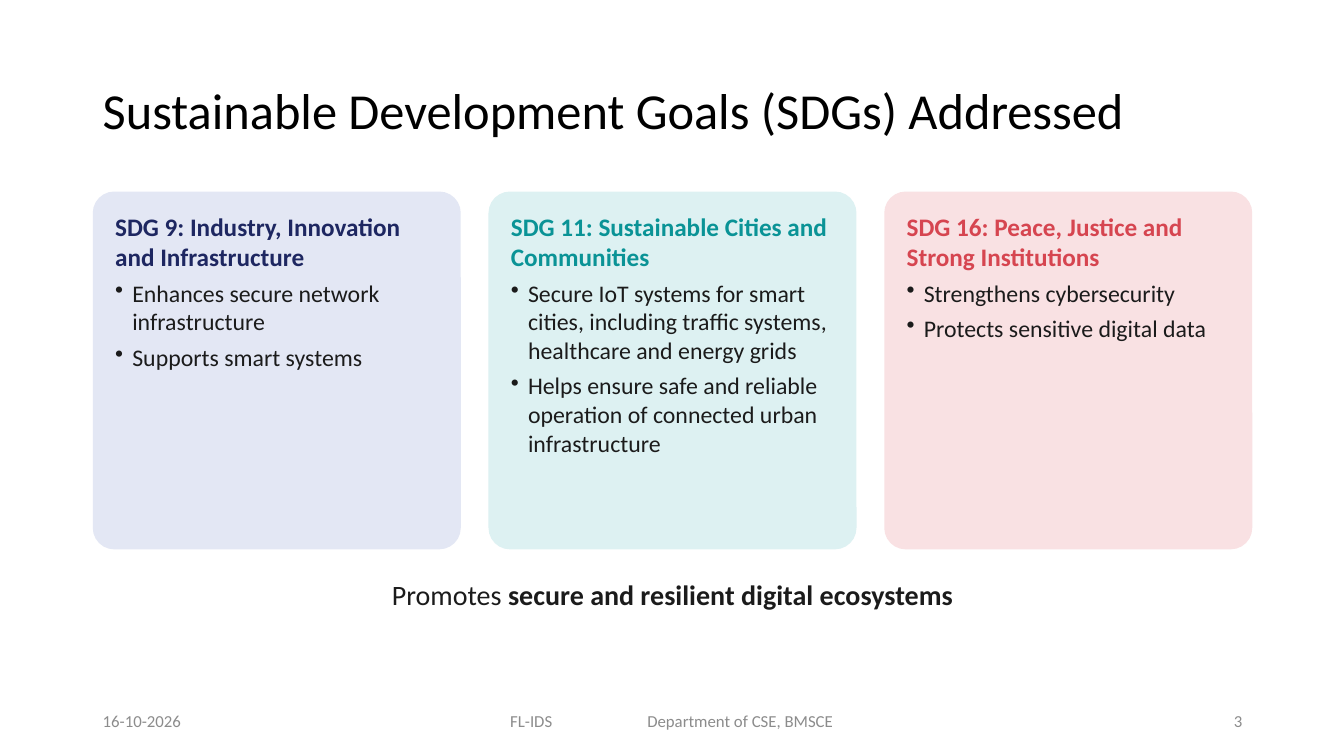
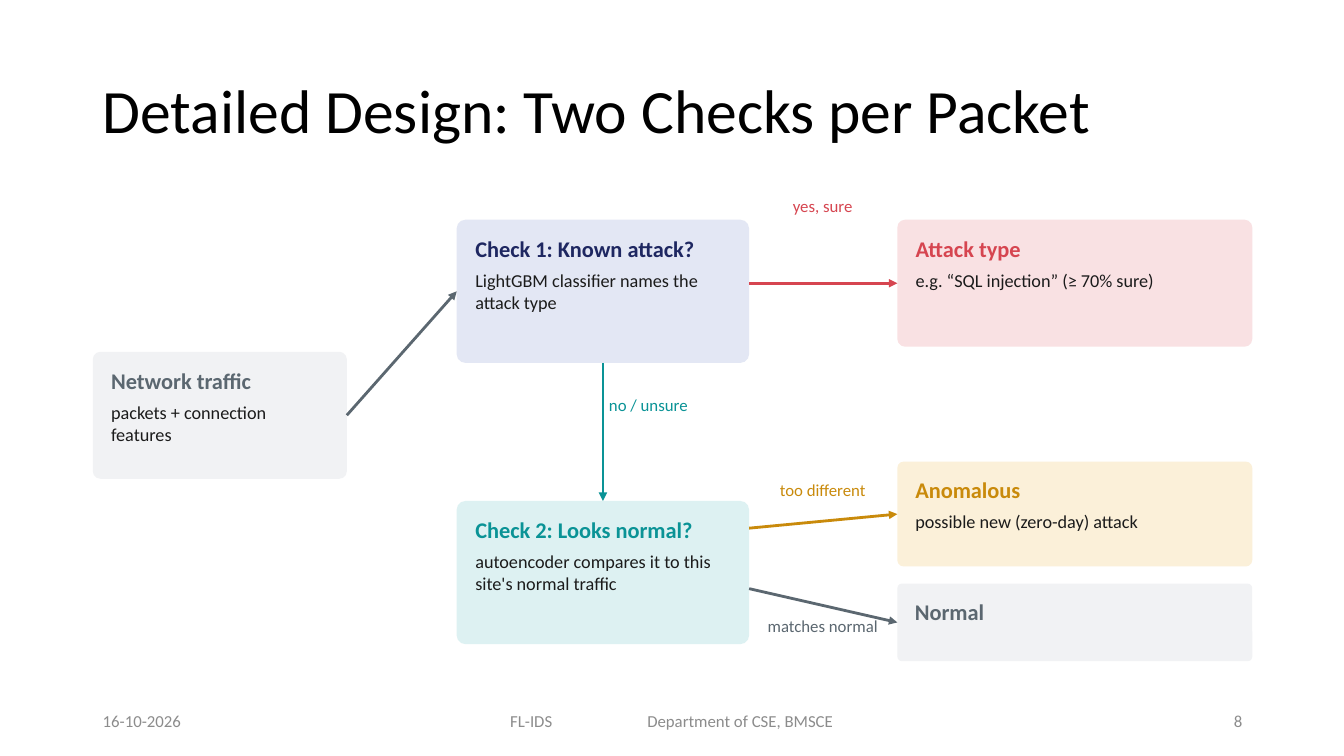
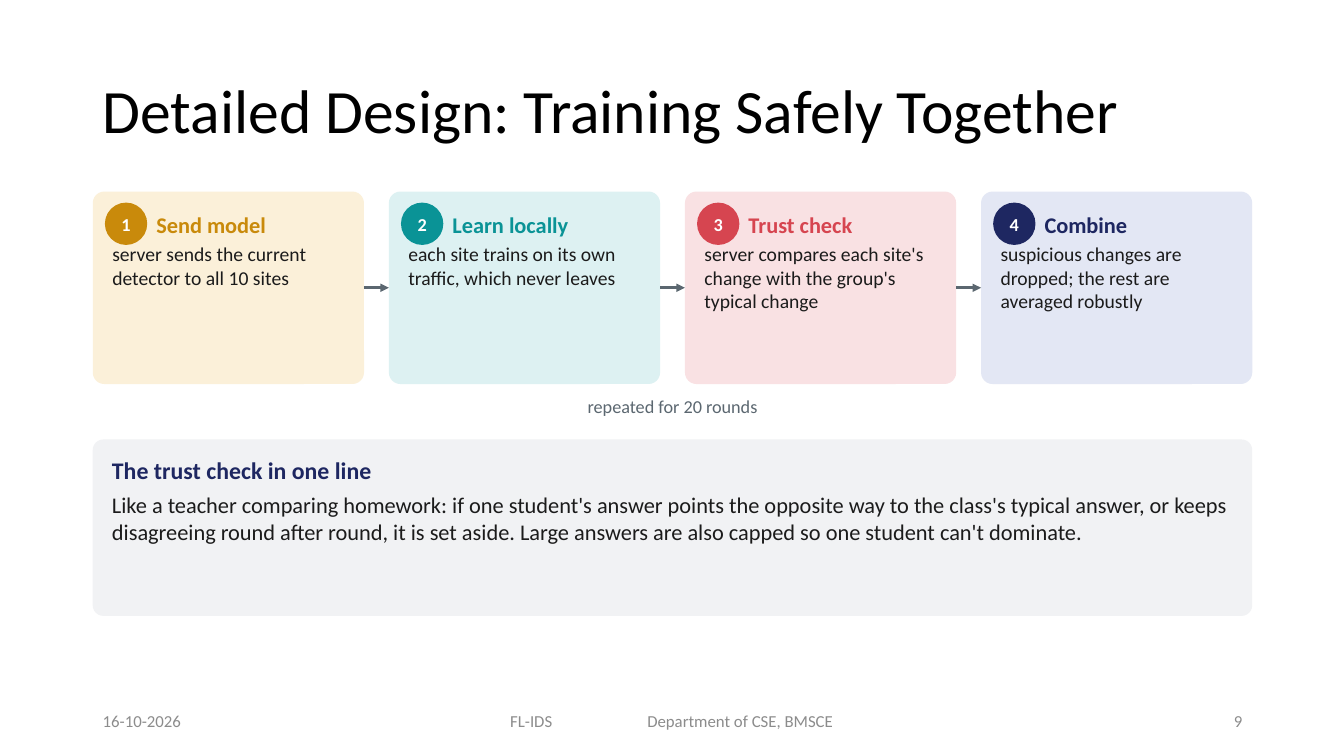
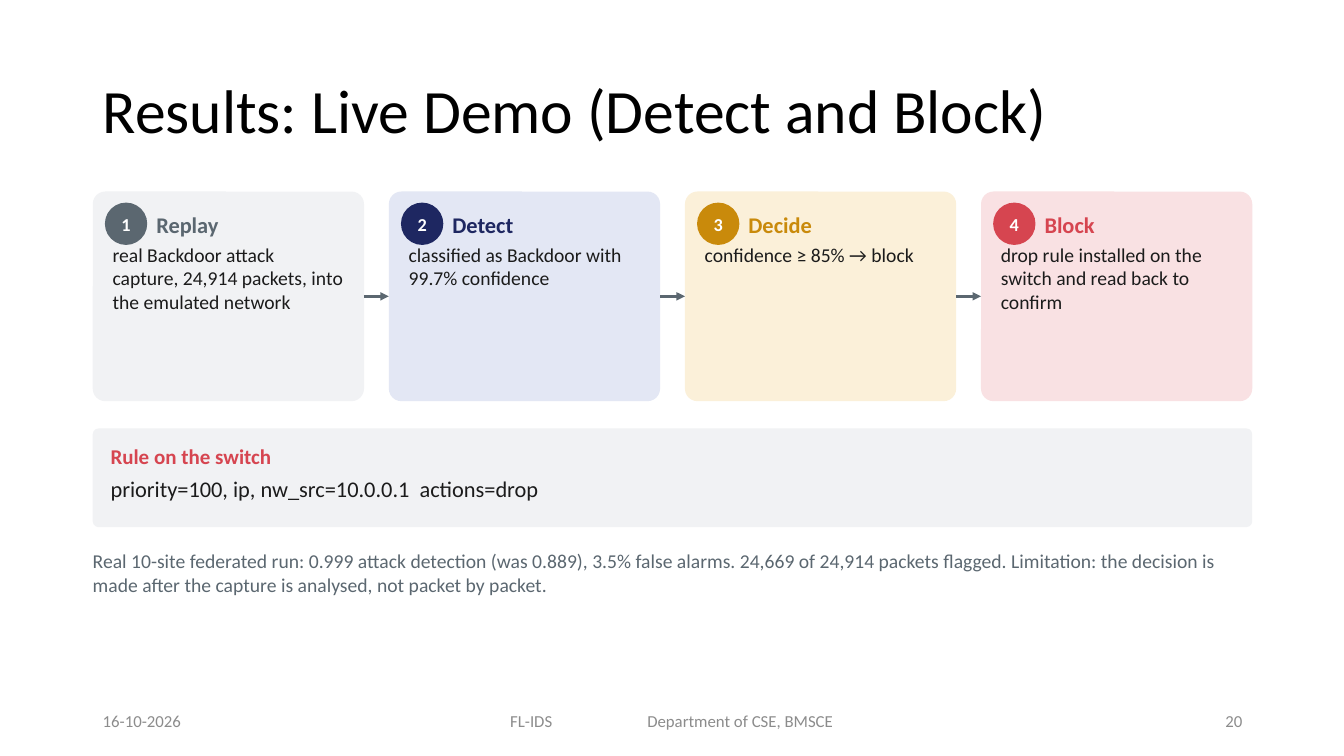
from pptx import Presentation
from pptx.dml.color import RGBColor
from pptx.enum.shapes import MSO_CONNECTOR, MSO_SHAPE
from pptx.enum.text import MSO_ANCHOR, PP_ALIGN
from pptx.oxml.ns import qn
from pptx.util import Inches, Pt
from lxml import etree

LEFT, CENTER, RIGHT = PP_ALIGN.LEFT, PP_ALIGN.CENTER, PP_ALIGN.RIGHT
TOP, MIDDLE = MSO_ANCHOR.TOP, MSO_ANCHOR.MIDDLE
ROUNDED, OVAL = MSO_SHAPE.ROUNDED_RECTANGLE, MSO_SHAPE.OVAL
STRAIGHT = MSO_CONNECTOR.STRAIGHT

FONT = "Calibri"
BLACK = RGBColor(0x00, 0x00, 0x00)
WHITE = RGBColor(0xFF, 0xFF, 0xFF)
INK = RGBColor(0x1B, 0x1B, 0x1B)
FOOTER_GRAY = RGBColor(0x8C, 0x8C, 0x8C)
NAVY = RGBColor(0x1E, 0x27, 0x61)
TEAL = RGBColor(0x0A, 0x93, 0x96)
RED = RGBColor(0xD6, 0x45, 0x50)
GOLD = RGBColor(0xC9, 0x8A, 0x0B)
SLATE = RGBColor(0x5B, 0x67, 0x70)
TINTS = {
    NAVY: RGBColor(0xE3, 0xE7, 0xF4),
    TEAL: RGBColor(0xDD, 0xF1, 0xF2),
    RED: RGBColor(0xF9, 0xE1, 0xE3),
    GOLD: RGBColor(0xFB, 0xF0, 0xD9),
    SLATE: RGBColor(0xF1, 0xF2, 0xF4),
}

MARGIN, CONTENT_WIDTH, CONTENT_TOP = 0.92, 11.5, 1.9
BOX_INSETS = (0.1, 0.05, 0.1, 0.05)
LABEL_INSETS = (0, 0.05, 0, 0.05)
CARD_INSETS = (0.16, 0.13, 0.16, 0.05)
STEP_INSETS = (0.16, 0.47, 0.16, 0.05)
NO_INSETS = (0, 0, 0, 0)
FOOTER_INSETS = (0.64, 0.05, 0, 0.05)


def add_text(slide, box, paragraphs, preset=None, fill=None, insets=LABEL_INSETS,
             align=LEFT, anchor=TOP, bullets=False):
    lengths = [Inches(value) for value in box]
    if preset is None:
        shape = slide.shapes.add_textbox(*lengths)
    else:
        shape = slide.shapes.add_shape(preset, *lengths)
        shape.shadow.inherit = False
        shape.fill.solid()
        shape.fill.fore_color.rgb = fill
        shape.line.fill.background()
        if preset == ROUNDED:
            shape.adjustments[0] = 0.06
    frame = shape.text_frame
    frame.word_wrap = True
    frame.vertical_anchor = anchor
    frame.margin_left, frame.margin_top, frame.margin_right, frame.margin_bottom = [
        Inches(value) for value in insets]
    for index, runs in enumerate(paragraphs):
        paragraph = frame.paragraphs[0] if index == 0 else frame.add_paragraph()
        paragraph.alignment = align
        if index:
            paragraph.space_before = Pt(5)
            if bullets:
                properties = paragraph._p.get_or_add_pPr()
                properties.set("marL", str(Inches(0.17)))
                properties.set("indent", str(-Inches(0.17)))
                etree.SubElement(properties, qn("a:buChar"), char="•")
        for text, size, color, bold in runs:
            run = paragraph.add_run()
            run.text = text
            run.font.name = FONT
            run.font.size = Pt(size)
            run.font.bold = bold
            run.font.color.rgb = color
    return shape


def add_arrow(slide, color, start, end, source=None, source_side=3, target=None, target_side=1):
    points = [Inches(value) for value in start + end]
    connector = slide.shapes.add_connector(STRAIGHT, *points)
    connector.line.color.rgb = color
    connector.line.width = Pt(2)
    properties = connector._element.spPr
    etree.SubElement(properties.find(qn("a:ln")), qn("a:tailEnd"), type="triangle")
    etree.SubElement(properties, qn("a:effectLst"))
    if source is not None:
        connector.begin_connect(source, source_side)
    if target is not None:
        connector.end_connect(target, target_side)


presentation = Presentation()
presentation.slide_width = Inches(13.33)
presentation.slide_height = Inches(7.5)
blank_layout = presentation.slide_layouts[6]

slides = []
for title, title_size, number in [
    ("Sustainable Development Goals (SDGs) Addressed", 36, "3"),
    ("Detailed Design: Two Checks per Packet", 44, "8"),
    ("Detailed Design: Training Safely Together", 44, "9"),
    ("Results: Live Demo (Detect and Block)", 44, "20"),
]:
    slide = presentation.slides.add_slide(blank_layout)
    slides.append(slide)
    heading = add_text(slide, (MARGIN, 0.4, CONTENT_WIDTH, 1.45),
                       [[(title, title_size, BLACK, False)]], insets=BOX_INSETS, anchor=MIDDLE)
    heading.text_frame.paragraphs[0].line_spacing = 0.9
    for left, width, text, align, insets in [
        (MARGIN, 3, "16-10-2026", LEFT, BOX_INSETS),
        (4.42, 4.5, "FL-IDS\tDepartment of CSE, BMSCE", LEFT, FOOTER_INSETS),
        (9.42, 3, number, RIGHT, BOX_INSETS),
    ]:
        footer = add_text(slide, (left, 6.95, width, 0.4), [[(text, 12, FOOTER_GRAY, False)]],
                          insets=insets, align=align, anchor=MIDDLE)
        if "\t" in text:
            properties = footer.text_frame.paragraphs[0]._p.get_or_add_pPr()
            tabs = etree.SubElement(properties, qn("a:tabLst"))
            etree.SubElement(tabs, qn("a:tab"), pos=str(Inches(1.36)), algn="l")

goals_slide, checks_slide, training_slide, demo_slide = slides

goal_width = 3.65
goal_pitch = (CONTENT_WIDTH - goal_width) / 2
for index, (color, goal, points) in enumerate([
    (NAVY, "SDG 9: Industry, Innovation and Infrastructure",
     ["Enhances secure network infrastructure", "Supports smart systems"]),
    (TEAL, "SDG 11: Sustainable Cities and Communities",
     ["Secure IoT systems for smart cities, including traffic systems, healthcare and energy grids",
      "Helps ensure safe and reliable operation of connected urban infrastructure"]),
    (RED, "SDG 16: Peace, Justice and Strong Institutions",
     ["Strengthens cybersecurity", "Protects sensitive digital data"]),
]):
    add_text(goals_slide, (MARGIN + index * goal_pitch, CONTENT_TOP, goal_width, 3.55),
             [[(goal, 18, color, True)]] + [[(point, 17, INK, False)] for point in points],
             ROUNDED, TINTS[color], CARD_INSETS, bullets=True)
add_text(goals_slide, (MARGIN, 5.68, CONTENT_WIDTH, 0.55),
         [[("Promotes ", 20, INK, False),
           ("secure and resilient digital ecosystems", 20, INK, True)]], align=CENTER)

nodes = {}
for name, box, color, detail in [
    ("Network traffic", (MARGIN, 3.49, 2.52, 1.26), SLATE, "packets + connection features"),
    ("Check 1: Known attack?", (4.53, 2.18, 2.9, 1.42), NAVY,
     "LightGBM classifier names the attack type"),
    ("Attack type", (8.9, 2.18, 3.52, 1.26), RED, "e.g. “SQL injection” (≥ 70% sure)"),
    ("Check 2: Looks normal?", (4.53, 4.97, 2.9, 1.42), TEAL,
     "autoencoder compares it to this site's normal traffic"),
    ("Anomalous", (8.9, 4.58, 3.52, 1.04), GOLD, "possible new (zero-day) attack"),
    ("Normal", (8.9, 5.79, 3.52, 0.77), SLATE, None),
]:
    paragraphs = [[(name, 16, color, True)]]
    if detail:
        paragraphs.append([(detail, 13, INK, False)])
    nodes[name] = add_text(checks_slide, box, paragraphs, ROUNDED, TINTS[color], CARD_INSETS)

first_check = nodes["Check 1: Known attack?"]
add_arrow(checks_slide, SLATE, (3.44, 4.12), (4.53, 2.89),
          source=nodes["Network traffic"], target=first_check)
add_arrow(checks_slide, TEAL, (5.98, 3.6), (5.98, 4.97), source=first_check, source_side=2,
          target=nodes["Check 2: Looks normal?"], target_side=0)
for target, color, start_y, end_y in [
    ("Attack type", RED, 2.81, 2.81),
    ("Anomalous", GOLD, 5.24, 5.1),
    ("Normal", SLATE, 5.84, 6.17),
]:
    add_arrow(checks_slide, color, (7.43, start_y), (8.9, end_y), target=nodes[target])
for text, left, top, width, color, align in [
    ("yes, sure", 7.42, 1.89, 1.48, RED, CENTER),
    ("no / unsure", 6.04, 3.87, 1.64, TEAL, LEFT),
    ("too different", 7.42, 4.71, 1.48, GOLD, CENTER),
    ("matches normal", 7.42, 6.06, 1.48, SLATE, CENTER),
]:
    add_text(checks_slide, (left, top, width, 0.33), [[(text, 12, color, False)]], align=align)

step_width = 2.69
step_pitch = (CONTENT_WIDTH - step_width) / 3
for slide, step_height, steps in [
    (training_slide, 1.91, [
        (GOLD, "Send model", "server sends the current detector to all 10 sites"),
        (TEAL, "Learn locally", "each site trains on its own traffic, which never leaves"),
        (RED, "Trust check",
         "server compares each site's change with the group's typical change"),
        (NAVY, "Combine", "suspicious changes are dropped; the rest are averaged robustly"),
    ]),
    (demo_slide, 2.08, [
        (SLATE, "Replay",
         "real Backdoor attack capture, 24,914 packets, into the emulated network"),
        (NAVY, "Detect", "classified as Backdoor with 99.7% confidence"),
        (GOLD, "Decide", "confidence ≥ 85% → block"),
        (RED, "Block", "drop rule installed on the switch and read back to confirm"),
    ]),
]:
    previous_card = None
    for index, (color, name, detail) in enumerate(steps):
        left = MARGIN + index * step_pitch
        card = add_text(slide, (left, CONTENT_TOP, step_width, step_height),
                        [[(detail, 14, INK, False)]], ROUNDED, TINTS[color], STEP_INSETS)
        add_text(slide, (left + 0.63, 1.98, 1.95, 0.49), [[(name, 16, color, True)]],
                 anchor=MIDDLE)
        add_text(slide, (left + 0.12, 2.01, 0.42, 0.42), [[(str(index + 1), 13, WHITE, True)]],
                 OVAL, color, NO_INSETS, CENTER, MIDDLE)
        if previous_card is not None:
            middle = CONTENT_TOP + step_height / 2
            add_arrow(slide, SLATE, (left - step_pitch + step_width, middle), (left, middle),
                      source=previous_card, target=card)
        previous_card = card

add_text(training_slide, (MARGIN, 3.87, CONTENT_WIDTH, 0.33),
         [[("repeated for 20 rounds", 13, SLATE, False)]], align=CENTER)

for slide, top, height, name, size, color, detail in [
    (training_slide, 4.36, 1.75, "The trust check in one line", 17, NAVY,
     "Like a teacher comparing homework: if one student's answer points the opposite way to the "
     "class's typical answer, or keeps disagreeing round after round, it is set aside. Large "
     "answers are also capped so one student can't dominate."),
    (demo_slide, 4.25, 0.98, "Rule on the switch", 15, RED,
     "priority=100, ip, nw_src=10.0.0.1  actions=drop"),
]:
    add_text(slide, (MARGIN, top, CONTENT_WIDTH, height),
             [[(name, size, color, True)], [(detail, 16, INK, False)]],
             ROUNDED, TINTS[SLATE], CARD_INSETS)

add_text(demo_slide, (MARGIN, 5.4, CONTENT_WIDTH, 0.98),
         [[("Real 10-site federated run: 0.999 attack detection (was 0.889), 3.5% false alarms. "
            "24,669 of 24,914 packets flagged. Limitation: the decision is made after the capture "
            "is analysed, not packet by packet.", 14, SLATE, False)]])

presentation.save("out.pptx")
